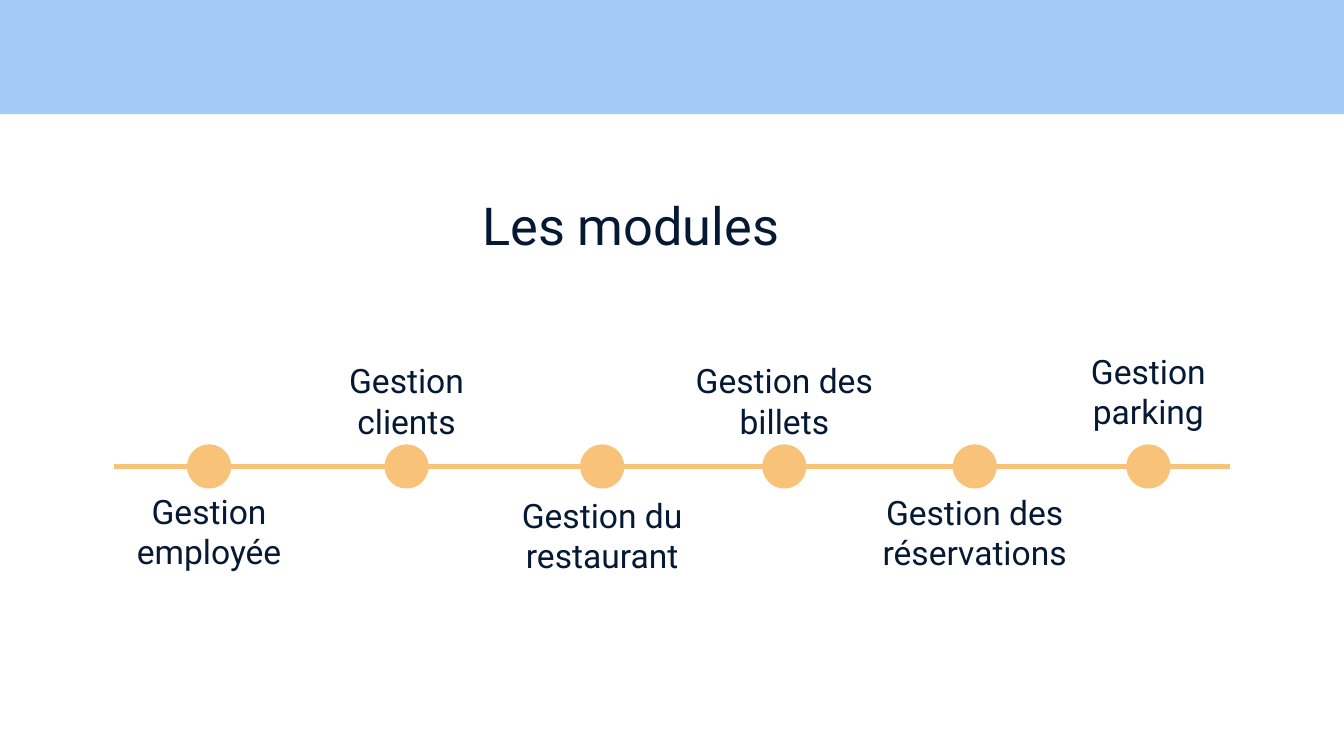
"""Build the module timeline slide."""
from dataclasses import dataclass

from lxml import etree
from pptx import Presentation
from pptx.dml.color import RGBColor
from pptx.enum import shapes, text
from pptx.oxml import ns
from pptx.util import Pt

TITLE = "Les modules"
# module, centre x, label top, label width
MODULES = [
    ("Gestion employée", 112, 242.6, 111.6),
    ("Gestion clients", 217.8, 172.8, 111.6),
    ("Gestion du restaurant", 322.6, 244.8, 111.6),
    ("Gestion des billets", 420.2, 172.8, 111.6),
    ("Gestion des réservations", 522.2, 243.4, 136.8),
    ("Gestion parking", 615.2, 167.8, 111.6),
]


@dataclass(frozen=True)
class Theme:
    """Colours and type of the slide."""
    band: str = "A3CAF7"
    accent: str = "F8C379"
    ink: str = "051934"
    font: str = "Roboto"
    title: float = 28
    label: float = 18


THEME = Theme()
WIDTH, HEIGHT, BAND_HEIGHT = 720, 405, 61.2
AXIS_Y, AXIS_START, AXIS_END, AXIS_WEIGHT = 249.9, 61.2, 658.8, 2.25
DOT, LABEL_HEIGHT, INSET = 23.6, 70.6, 7.2


def add_filled(slide, kind, left, top, width, height, color):
    """Add a plain filled shape without outline."""
    figure = slide.shapes.add_shape(kind, Pt(left), Pt(top), Pt(width), Pt(height))
    figure.shadow.inherit = False
    figure.fill.solid()
    figure.fill.fore_color.rgb = RGBColor.from_string(color)
    figure.line.fill.background()


def add_words(slide, words, *, left, top, width, height, size,
              align=text.PP_ALIGN.LEFT, anchor=text.MSO_ANCHOR.TOP):
    """Add a wrapped text box in the theme font."""
    frame = slide.shapes.add_textbox(Pt(left), Pt(top), Pt(width), Pt(height)).text_frame
    frame.word_wrap = True
    frame.vertical_anchor = anchor
    frame.margin_left = frame.margin_right = Pt(INSET)
    frame.margin_top = frame.margin_bottom = Pt(INSET)
    line = frame.paragraphs[0]
    line.alignment = align
    run = line.add_run()
    run.text = words
    run.font.name = THEME.font
    run.font.size = Pt(size)
    run.font.color.rgb = RGBColor.from_string(THEME.ink)


def add_axis(slide):
    """Add the horizontal line that joins the modules."""
    axis = slide.shapes.add_connector(shapes.MSO_CONNECTOR.STRAIGHT, Pt(AXIS_START),
                                      Pt(AXIS_Y), Pt(AXIS_END), Pt(AXIS_Y))
    axis.line.color.rgb = RGBColor.from_string(THEME.accent)
    axis.line.width = Pt(AXIS_WEIGHT)
    etree.SubElement(axis._element.spPr, ns.qn("a:effectLst"))


def main():
    """Assemble and save the deck."""
    deck = Presentation()
    deck.slide_width, deck.slide_height = Pt(WIDTH), Pt(HEIGHT)
    slide = deck.slides.add_slide(deck.slide_layouts[6])
    add_filled(slide, shapes.MSO_SHAPE.RECTANGLE, 0, 0, WIDTH, BAND_HEIGHT, THEME.band)
    add_words(slide, TITLE, left=251.3, top=96.5, width=193, height=45.4, size=THEME.title)
    add_axis(slide)
    for module, center, top, width in MODULES:
        add_filled(slide, shapes.MSO_SHAPE.OVAL, center - DOT / 2, AXIS_Y - DOT / 2,
                   DOT, DOT, THEME.accent)
        add_words(slide, module, left=center - width / 2, top=top, width=width,
                  height=LABEL_HEIGHT, size=THEME.label,
                  align=text.PP_ALIGN.CENTER, anchor=text.MSO_ANCHOR.BOTTOM)
    deck.save("out.pptx")


if __name__ == "__main__":
    main()
